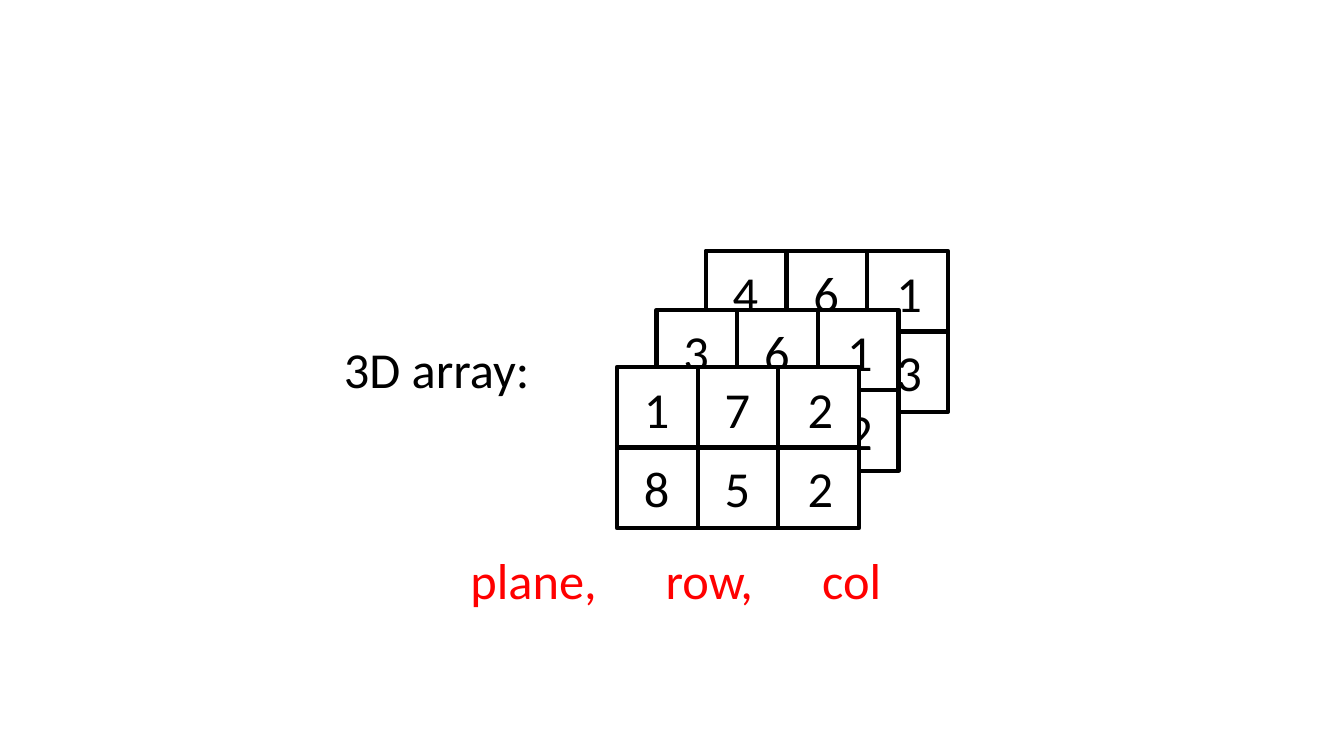
from dataclasses import dataclass

from pptx import Presentation
from pptx.dml.color import RGBColor
from pptx.enum.shapes import MSO_SHAPE
from pptx.enum.text import MSO_AUTO_SIZE
from pptx.oxml import parse_xml
from pptx.oxml.ns import nsdecls
from pptx.util import Inches, Length, Pt


@dataclass(frozen=True)
class Theme:
    font: str = "Calibri"
    size: Length = Pt(36)
    line: Length = Pt(3)
    ink: RGBColor = RGBColor(0, 0, 0)
    paper: RGBColor = RGBColor(255, 255, 255)
    accent: RGBColor = RGBColor(255, 0, 0)


@dataclass(frozen=True)
class Plane:
    col: float
    row: float
    rows: tuple[str, ...]
    filled: bool = True


THEME = Theme()

# The grid: one unit is one array cell
CELL = 0.8
DIGIT_COLS = (0.21, 0.21, 0.24)
DIGIT_ROWS = (0.08, 0.06)

# Planes from back to front
PLANES = (
    Plane(8.75, 3.11, ("461", "893"), filled=False),
    Plane(8.14, 3.84, ("361", "852")),
    Plane(7.65, 4.55, ("172", "852")),
)


def grid(count: float) -> Length:
    return Inches(count * CELL)


def add_text(shapes, text: str, *, col: float, row: float, wide: float, high: float = 0.89,
             color: RGBColor = THEME.ink, wrap: bool = True, tabs: tuple[float, ...] = ()) -> None:
    box = shapes.add_textbox(grid(col), grid(row), grid(wide), grid(high))
    frame = box.text_frame
    frame.word_wrap = wrap
    frame.auto_size = MSO_AUTO_SIZE.SHAPE_TO_FIT_TEXT
    para = frame.paragraphs[0]
    if tabs:
        stops = "".join(f'<a:tab pos="{grid(tab)}" algn="l"/>' for tab in tabs)
        props = para._p.get_or_add_pPr()
        props.append(parse_xml(f'<a:tabLst {nsdecls("a")}>{stops}</a:tabLst>'))
    run = para.add_run()
    run.text = text
    run.font.name = THEME.font
    run.font.size = THEME.size
    run.font.color.rgb = color


def add_cell(shapes, col: float, row: float, filled: bool) -> None:
    cell = shapes.add_shape(MSO_SHAPE.RECTANGLE, grid(col), grid(row), grid(1), grid(1))
    cell.shadow.inherit = False
    cell.line.color.rgb = THEME.ink
    cell.line.width = THEME.line
    if filled:
        cell.fill.solid()
        cell.fill.fore_color.rgb = THEME.paper
    else:
        cell.fill.background()


def add_plane(shapes, plane: Plane) -> None:
    group = shapes.add_group_shape().shapes
    spots = [(x, y, digit) for y, line in enumerate(plane.rows) for x, digit in enumerate(line)]
    for x, y, _ in spots:
        add_cell(group, plane.col + x, plane.row + y, plane.filled)
    for x, y, digit in spots:
        add_text(group, digit, col=plane.col + x + DIGIT_COLS[x],
                 row=plane.row + y + DIGIT_ROWS[y], wide=0.58, wrap=False)


def main() -> None:
    deck = Presentation()
    deck.slide_width, deck.slide_height = Inches(13.33), Inches(7.5)
    shapes = deck.slides.add_slide(deck.slide_layouts[6]).shapes

    # Stacked planes
    for plane in PLANES:
        add_plane(shapes, plane)

    # Title and axis names
    add_text(shapes, "3D array:", col=4.14, row=4.13, wide=2.76)
    add_text(shapes, "plane,\trow,\tcol", col=5.71, row=6.75, wide=6,
             color=THEME.accent, tabs=(2.42, 4.36))

    deck.save("out.pptx")


if __name__ == "__main__":
    main()
